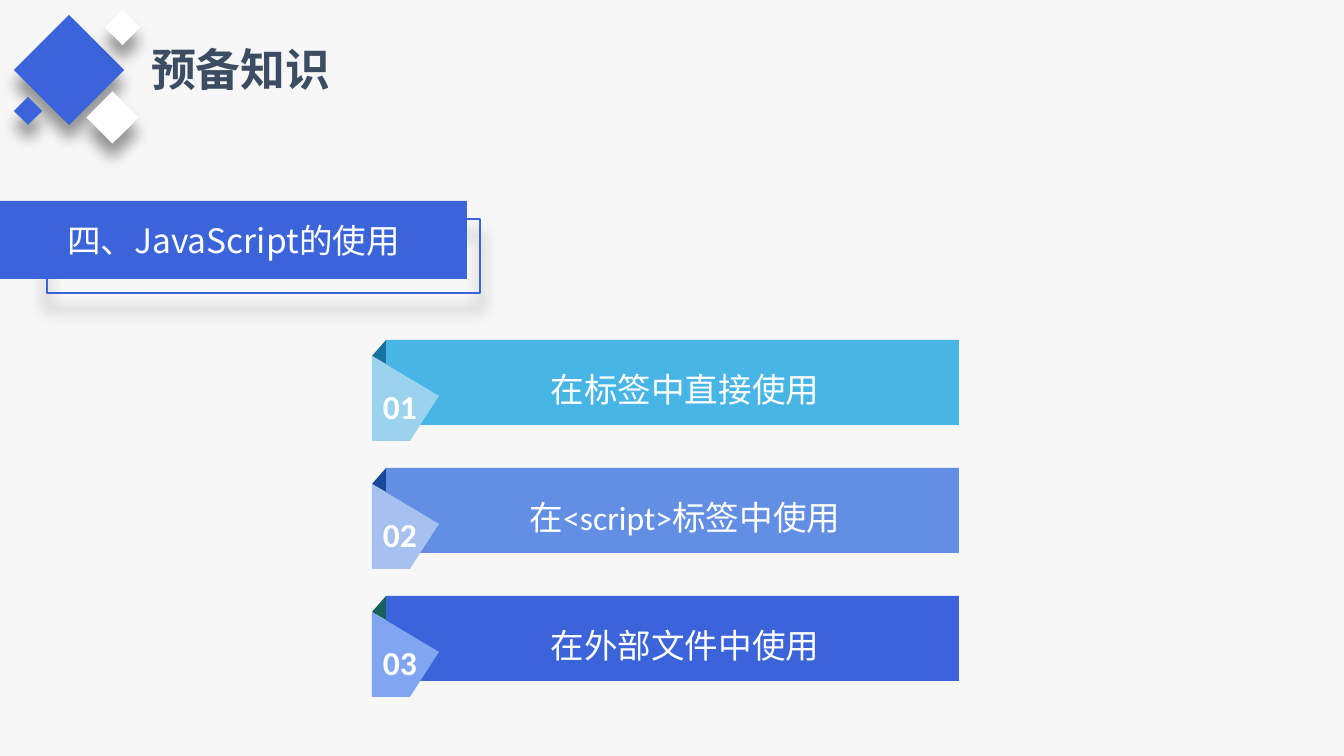
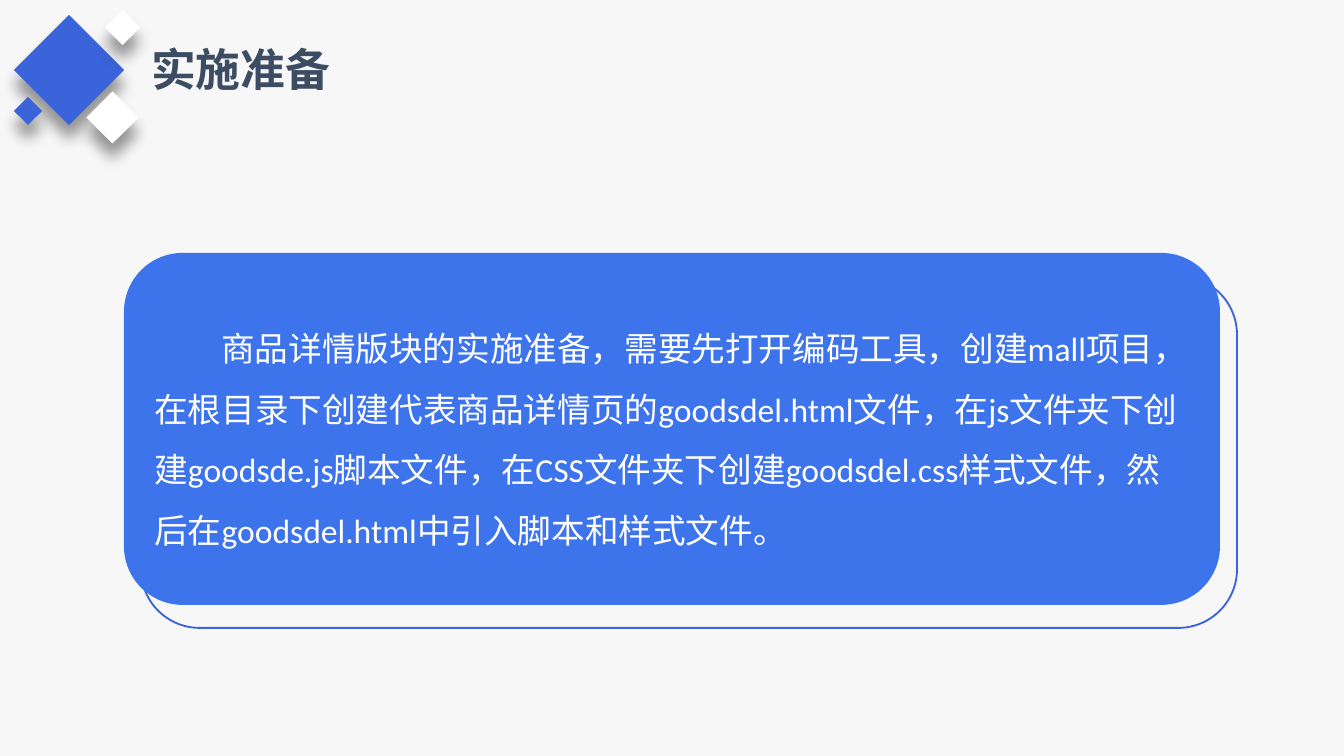
from lxml import etree
from pptx import Presentation
from pptx import util as u
from pptx.dml.color import RGBColor
from pptx.enum import shapes, text
from pptx.oxml import ns

WIDTH, HEIGHT = 1344, 756
EMU_PER_PX = 9144000 / WIDTH
HEADING_FONT = "Noto Sans CJK SC"
BODY_FONT = "Calibri"

BACKGROUND = RGBColor(0xF7, 0xF7, 0xF7)
WHITE = RGBColor(0xFF, 0xFF, 0xFF)
BLACK = RGBColor(0x00, 0x00, 0x00)
SLATE = RGBColor(0x3C, 0x4D, 0x63)
BLUE = RGBColor(0x3B, 0x64, 0xDA)
CARD_BLUE = RGBColor(0x3D, 0x74, 0xEB)
SKY = RGBColor(0x47, 0xB5, 0xE6)
SKY_DARK = RGBColor(0x16, 0x74, 0x9E)
SKY_LIGHT = RGBColor(0x9B, 0xD3, 0xEF)
PERIWINKLE = RGBColor(0x62, 0x8F, 0xE4)
PERIWINKLE_DARK = RGBColor(0x1A, 0x48, 0x9A)
PERIWINKLE_LIGHT = RGBColor(0xA6, 0xC0, 0xF0)
GREEN_DARK = RGBColor(0x15, 0x61, 0x5A)
BLUE_LIGHT = RGBColor(0x80, 0xA6, 0xF2)

RECTANGLE = shapes.MSO_SHAPE.RECTANGLE
ROUNDED = shapes.MSO_SHAPE.ROUNDED_RECTANGLE
CENTER = text.PP_ALIGN.CENTER
LEFT = text.PP_ALIGN.LEFT
JUSTIFY = text.PP_ALIGN.JUSTIFY

DIAMONDS = [
    (30, 31, 78, BLUE),
    (94, 99, 37, WHITE),
    (110, 15, 25, WHITE),
    (18, 101, 20, BLUE),
]
USAGES = [
    ("在标签中直接使用", SKY, SKY_DARK, SKY_LIGHT),
    ("在<script>标签中使用", PERIWINKLE, PERIWINKLE_DARK, PERIWINKLE_LIGHT),
    ("在外部文件中使用", BLUE, GREEN_DARK, BLUE_LIGHT),
]
USAGE_TOP, USAGE_PITCH = 340, 128
PREPARATION = (
    "商品详情版块的实施准备，需要先打开编码工具，创建mall项目，"
    "在根目录下创建代表商品详情页的goodsdel.html文件，"
    "在js文件夹下创建goodsde.js脚本文件，"
    "在CSS文件夹下创建goodsdel.css样式文件，"
    "然后在goodsdel.html中引入脚本和样式文件。"
)


def px(length):
    return u.Emu(round(length * EMU_PER_PX))


def paint(shape, fill=None, line=None, line_width=1):
    shape.shadow.inherit = False
    if fill is None:
        shape.fill.background()
    else:
        shape.fill.solid()
        shape.fill.fore_color.rgb = fill
    if line is None:
        shape.line.fill.background()
    else:
        shape.line.color.rgb = line
        shape.line.width = u.Pt(line_width)
    return shape


def add_box(slide, kind, left, top, width, height, **style):
    shape = slide.shapes.add_shape(kind, px(left), px(top), px(width), px(height))
    return paint(shape, **style)


def add_polygon(slide, points, fill):
    builder = slide.shapes.build_freeform(*points[0], scale=EMU_PER_PX)
    builder.add_line_segments(points[1:], close=True)
    return paint(builder.convert_to_shape(), fill)


def cast_shadow(shape):
    effects = shape._element.spPr.find(ns.qn("a:effectLst"))
    shadow = etree.SubElement(
        effects, ns.qn("a:outerShdw"), blurRad=str(u.Pt(8)), dist=str(u.Pt(8)),
        dir="5400000", algn="t", rotWithShape="0")
    color = etree.SubElement(shadow, ns.qn("a:srgbClr"), val=str(BLACK))
    etree.SubElement(color, ns.qn("a:alpha"), val="40000")


def write(shape, wording, size=18, color=WHITE, font=BODY_FONT, bold=False,
          align=CENTER, spacing=None, insets=None, indent=0):
    frame = shape.text_frame
    frame.text = wording
    frame.word_wrap = True
    frame.vertical_anchor = text.MSO_ANCHOR.MIDDLE
    if insets:
        frame.margin_left, frame.margin_top = px(insets[0]), px(insets[1])
    paragraph = frame.paragraphs[0]
    paragraph.alignment = align
    if spacing:
        paragraph.line_spacing = spacing
    if indent:
        paragraph._p.get_or_add_pPr().set("indent", str(px(indent)))
    for run in paragraph.runs:
        run.font.size = u.Pt(size)
        run.font.bold = bold
        run.font.color.rgb = color
        run.font.name = font
        properties = run.font._element
        etree.SubElement(properties, ns.qn("a:ea"), typeface=HEADING_FONT)


def add_titled_slide(presentation, title):
    slide = presentation.slides.add_slide(presentation.slide_layouts[6])
    slide.background.fill.solid()
    slide.background.fill.fore_color.rgb = BACKGROUND
    title_box = slide.shapes.add_textbox(px(138), px(35), px(207), px(67))
    write(title_box, title, 24, SLATE, HEADING_FONT, True, LEFT)
    frame = title_box.text_frame
    frame.vertical_anchor = text.MSO_ANCHOR.TOP
    frame.word_wrap = False
    frame.auto_size = text.MSO_AUTO_SIZE.SHAPE_TO_FIT_TEXT
    for left, top, side, color in DIAMONDS:
        diamond = add_box(slide, RECTANGLE, left, top, side, side, fill=color)
        diamond.rotation = 45
        cast_shadow(diamond)
    return slide


def add_section_band(slide, wording):
    outline = add_box(slide, RECTANGLE, 47, 219, 433, 74, line=BLUE, line_width=1.5)
    cast_shadow(outline)
    band = add_box(slide, RECTANGLE, 0, 201, 467, 78, fill=BLUE)
    write(band, wording, font=HEADING_FONT)


def add_usage(slide, number, top, wording, color, fold_color, tag_color):
    left, bar_left = 372, 386
    tag_top, tag_bottom = top + 16, top + 101
    add_polygon(slide, [(bar_left, top), (bar_left, top + 24), (left, tag_top)], fold_color)
    bar = add_box(slide, RECTANGLE, bar_left, top, 573, 85, fill=color)
    write(bar, wording, spacing=1.3, insets=(38, 7))
    tag = add_polygon(slide, [(left, tag_top), (left + 67, tag_top + 40),
                              (left + 38, tag_bottom), (left, tag_bottom)], tag_color)
    write(tag, f"{number:02d}", bold=True, align=JUSTIFY, insets=(11, 21))


def add_card(slide, wording):
    add_box(slide, ROUNDED, 141, 276, 1096, 352, line=BLUE)
    card = add_box(slide, ROUNDED, 124, 253, 1096, 352, fill=CARD_BLUE)
    write(card, wording, align=LEFT, spacing=1.5, indent=67)


def main():
    presentation = Presentation()
    presentation.slide_width, presentation.slide_height = px(WIDTH), px(HEIGHT)

    knowledge = add_titled_slide(presentation, "预备知识")
    add_section_band(knowledge, "四、JavaScript的使用")
    for index, usage in enumerate(USAGES):
        add_usage(knowledge, index + 1, USAGE_TOP + index * USAGE_PITCH, *usage)

    preparation = add_titled_slide(presentation, "实施准备")
    add_card(preparation, PREPARATION)

    presentation.save("out.pptx")


if __name__ == "__main__":
    main()
